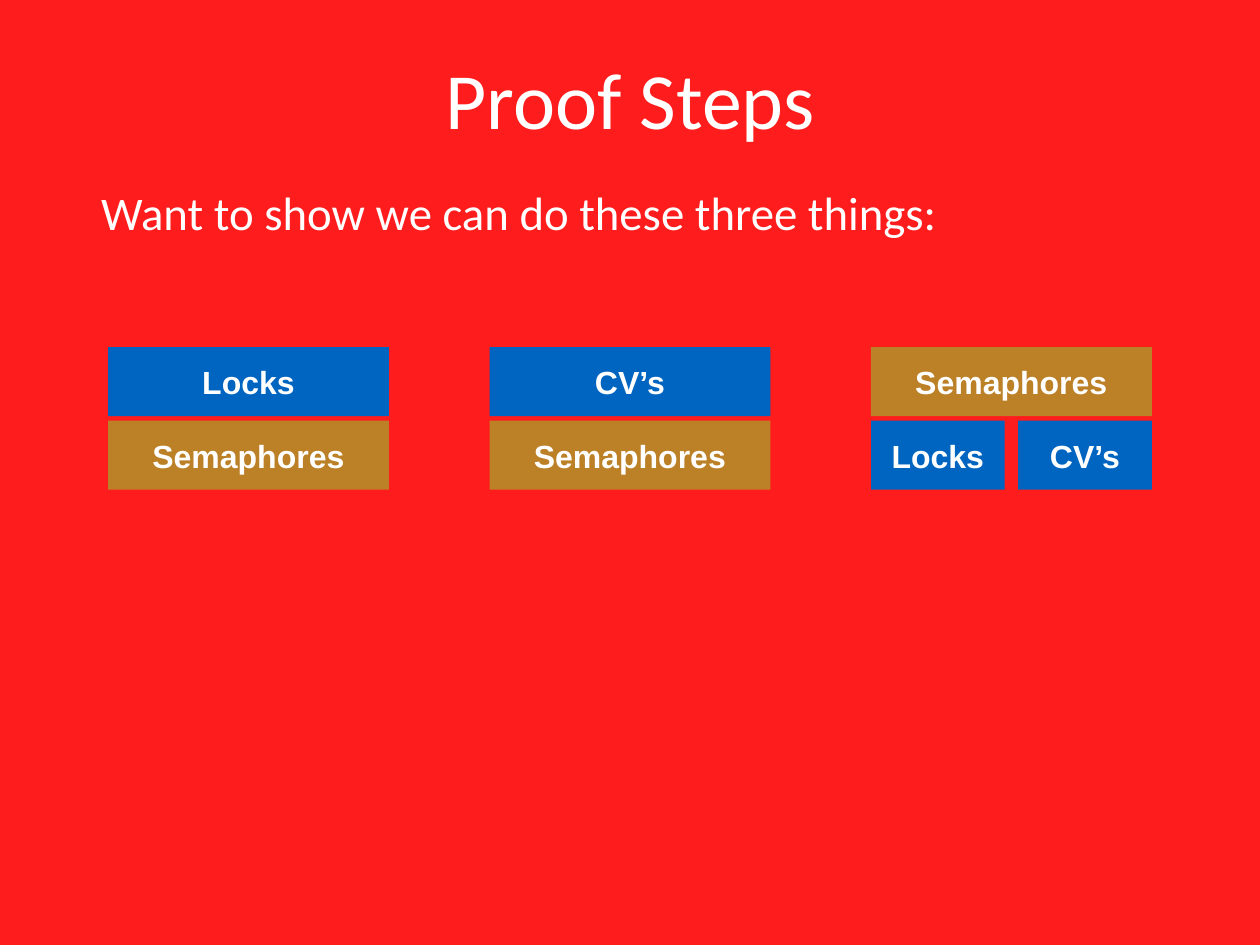
from lxml import etree
from pptx import Presentation
from pptx import util as u
from pptx.dml.color import RGBColor
from pptx.enum import shapes, text
from pptx.oxml.ns import qn

COLORS = {"background": "FF1C1C", "primitive": "0065C1",
          "semaphore": "BC8027", "text": "FFFFFF"}
WIDTH, HEIGHT = 14.22, 10.67
LEFT, TOP = 1.22, 3.92
BLOCK_W, BLOCK_H = 3.17, 0.78
ROW_PITCH = BLOCK_H + 0.05
COLUMN_PITCH = (WIDTH - 2 * LEFT - BLOCK_W) / 2
SPLIT_GAP = 0.15

# Each proof step stacks what is built on top of what it is built from.
STEPS = [
    [["Locks"], ["Semaphores"]],
    [["CV’s"], ["Semaphores"]],
    [["Semaphores"], ["Locks", "CV’s"]],
]


def color(name):
    return RGBColor.from_string(COLORS[name])


def write(sp, words, *, size, font, bold=False, align=text.PP_ALIGN.LEFT,
          anchor=text.MSO_ANCHOR.TOP, margin=None):
    tf = sp.text_frame
    tf.word_wrap = True
    tf.auto_size = text.MSO_AUTO_SIZE.NONE
    tf.vertical_anchor = anchor
    if margin is not None:
        tf.margin_left = tf.margin_right = u.Inches(margin)
        tf.margin_top = tf.margin_bottom = u.Inches(margin)
    p = tf.paragraphs[0]
    p.alignment = align
    p.space_before = u.Pt(0)
    r = p.add_run()
    r.text = words
    r.font.name, r.font.size, r.font.bold = font, u.Pt(size), bold
    r.font.color.rgb = color("text")
    return p


def place(sp, left, top, width, height):
    sp.left, sp.top = u.Inches(left), u.Inches(top)
    sp.width, sp.height = u.Inches(width), u.Inches(height)


def remove_bullet(p):
    pPr = p._p.get_or_add_pPr()
    pPr.set("marL", "0")
    pPr.set("indent", "0")
    etree.SubElement(pPr, qn("a:buNone"))


def add_block(s, words, left, top, width):
    sp = s.shapes.add_shape(shapes.MSO_SHAPE.RECTANGLE, u.Inches(left), u.Inches(top),
                            u.Inches(width), u.Inches(BLOCK_H))
    sp.shadow.inherit = False
    sp.fill.solid()
    sp.fill.fore_color.rgb = color("semaphore" if words == "Semaphores" else "primitive")
    sp.line.fill.background()
    write(sp, words, size=26, font="Arial", bold=True, margin=0,
          align=text.PP_ALIGN.CENTER, anchor=text.MSO_ANCHOR.MIDDLE)


def add_step(s, column, rows):
    """Draw one stack, sharing the column's width among the blocks of each row."""
    left = LEFT + column * COLUMN_PITCH
    for row, names in enumerate(rows):
        width = (BLOCK_W - SPLIT_GAP * (len(names) - 1)) / len(names)
        for i, name in enumerate(names):
            add_block(s, name, left + i * (width + SPLIT_GAP),
                      TOP + row * ROW_PITCH, width)


def main():
    prs = Presentation()
    prs.slide_width, prs.slide_height = u.Inches(WIDTH), u.Inches(HEIGHT)
    s = prs.slides.add_slide(prs.slide_layouts[1])
    s.background.fill.solid()
    s.background.fill.fore_color.rgb = color("background")

    title, body = s.shapes.title, s.placeholders[1]
    place(title, 1.21, 0.1, 11.8, 2)
    write(title, "Proof Steps", size=64.8, font="Calibri",
          align=text.PP_ALIGN.CENTER, anchor=text.MSO_ANCHOR.MIDDLE)
    place(body, 1.04, 2.03, 12.14, 0.99)
    remove_bullet(write(body, "Want to show we can do these three things:",
                        size=38, font="Calibri"))

    for column, rows in enumerate(STEPS):
        add_step(s, column, rows)
    prs.save("out.pptx")


if __name__ == "__main__":
    main()
